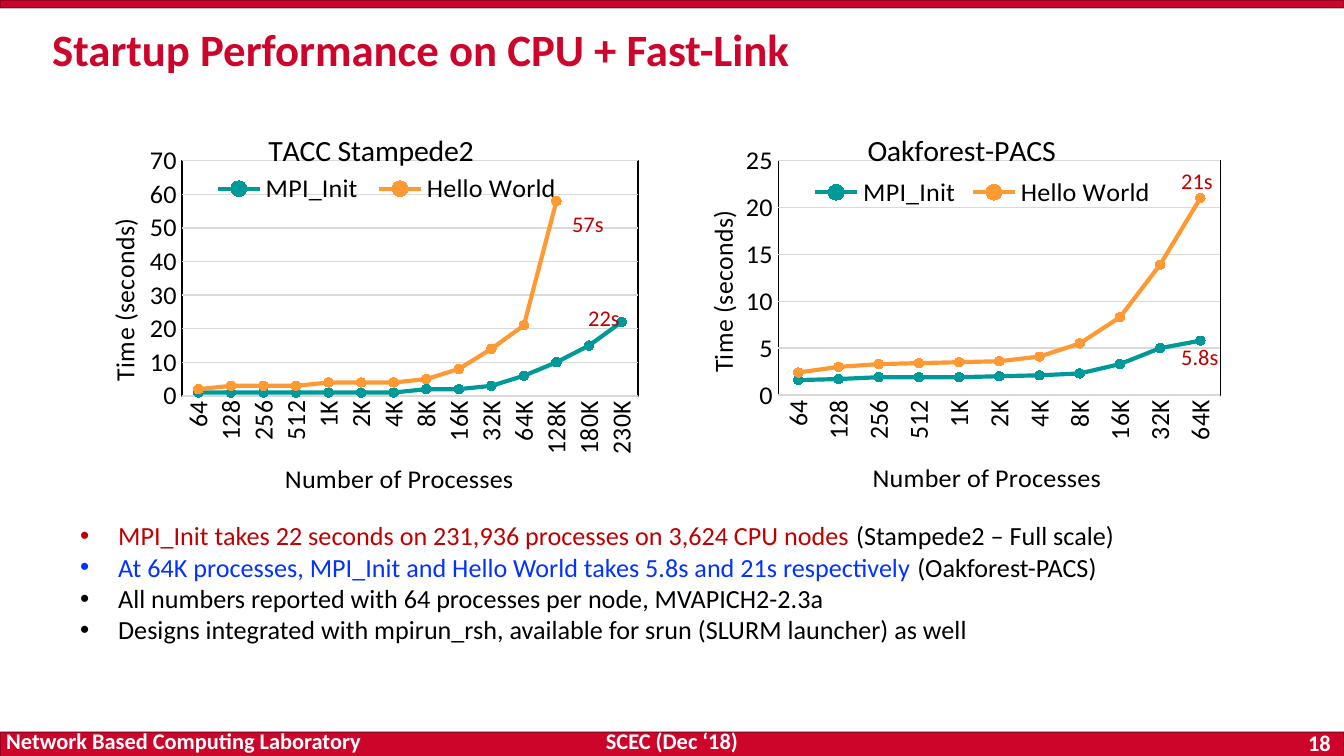
from lxml import etree
from pptx import Presentation
from pptx import util as u
from pptx.chart.data import CategoryChartData
from pptx.dml.color import RGBColor
from pptx.enum import chart as charts, shapes, text
from pptx.oxml import parse_xml
from pptx.oxml.ns import nsdecls, qn

SCALE = 914400 / 134.4
UPRIGHT = "-5400000"
CATEGORIES = ["64", "128", "256", "512", "1K", "2K", "4K", "8K",
              "16K", "32K", "64K", "128K", "180K", "230K"]


def px(length):
    return u.Emu(round(length * SCALE))


def color(value):
    return RGBColor.from_string(value)


def format_font(font, size, fill, bold=False):
    font.name = "Calibri"
    font.size = u.Pt(size)
    font.bold = bold
    font.color.rgb = color(fill)


def write(paragraph, content, size=14, fill="000000", bold=False):
    run = paragraph.add_run()
    run.text = content
    format_font(run.font, size, fill, bold)


def place(element, index, target, **fractions):
    for old in element.findall(qn("c:layout")):
        element.remove(old)
    parts = f'<c:layoutTarget val="{target}"/>' if target else ""
    parts += '<c:xMode val="edge"/><c:yMode val="edge"/>'
    parts += "".join(f'<c:{key} val="{value}"/>' for key, value in fractions.items())
    element.insert(index, parse_xml(
        f'<c:layout {nsdecls("c")}><c:manualLayout>{parts}</c:manualLayout></c:layout>'))


class SlideBuilder:
    red = "CD052B"
    accent = "C00000"
    grid = "D9D9D9"
    series_colors = ["009999", "FF9933"]

    def __init__(self, slide):
        self.slide = slide

    def bar(self, top, height):
        shape = self.slide.shapes.add_shape(
            shapes.MSO_SHAPE.RECTANGLE, 0, px(top), px(1344), px(height))
        shape.shadow.inherit = False
        shape.fill.solid()
        shape.fill.fore_color.rgb = color(self.red)
        shape.line.color.rgb = color("000000")
        shape.line.width = u.Pt(1)
        line_color = shape.line._ln.find(".//" + qn("a:srgbClr"))
        etree.SubElement(line_color, qn("a:alpha")).set("val", "25000")

    def box(self, left, top, width, height, anchor=text.MSO_ANCHOR.TOP):
        shape = self.slide.shapes.add_textbox(px(left), px(top), px(width), px(height))
        frame = shape.text_frame
        frame.word_wrap = True
        frame.vertical_anchor = anchor
        return frame

    def label(self, area, content, align=text.PP_ALIGN.LEFT,
              anchor=text.MSO_ANCHOR.TOP, **style):
        paragraph = self.box(*area, anchor).paragraphs[0]
        paragraph.alignment = align
        write(paragraph, content, **style)

    def bullets(self, area, items):
        frame = self.box(*area)
        for index, runs in enumerate(items):
            paragraph = frame.add_paragraph() if index else frame.paragraphs[0]
            properties = paragraph._p.get_or_add_pPr()
            properties.set("marL", str(px(38)))
            properties.set("indent", str(-px(38)))
            etree.SubElement(properties, qn("a:buFont")).set("typeface", "Arial")
            etree.SubElement(properties, qn("a:buChar")).set("char", "•")
            for content, fill in runs:
                write(paragraph, content, fill=fill)

    def chart_title(self, title, content, x, y, size=14, rotation="0"):
        frame = title.text_frame
        write(frame.paragraphs[0], content, size=size)
        frame._txBody.find(qn("a:bodyPr")).set("rot", rotation)
        place(title._element, 1, None, x=x, y=y)

    def line_chart(self, area, title, series, top, step, title_at, legend_at,
                   category_title_at, value_title_at):
        data = CategoryChartData(number_format="General")
        data.categories = CATEGORIES[:len(series["MPI_Init"])]
        for name, values in series.items():
            data.add_series(name, values)
        chart = self.slide.shapes.add_chart(
            charts.XL_CHART_TYPE.LINE_MARKERS, *map(px, area), data).chart
        format_font(chart.font, 14, "000000")
        chart.has_title = True
        self.chart_title(chart.chart_title, title, *title_at, size=16)

        chart.has_legend = True
        legend = chart.legend
        legend.position = charts.XL_LEGEND_POSITION.BOTTOM
        legend.include_in_layout = False
        format_font(legend.font, 14, "000000")
        place(legend._element, 1, None, x=legend_at[0], y=legend_at[1], w=0.63, h=0.08)

        category, value = chart.category_axis, chart.value_axis
        for axis in (category, value):
            axis.major_tick_mark = axis.minor_tick_mark = charts.XL_TICK_MARK.NONE
            format_font(axis.tick_labels.font, 14, "000000")
        self.chart_title(category.axis_title, "Number of Processes", *category_title_at)
        self.chart_title(value.axis_title, "Time (seconds)", *value_title_at,
                         rotation=UPRIGHT)
        labels = category._element.find(qn("c:txPr"))
        labels.find(qn("a:bodyPr")).set("rot", UPRIGHT)
        value.minimum_scale, value.maximum_scale, value.major_unit = 0, top, step
        value.tick_labels.number_format = "0"
        value.tick_labels.number_format_is_linked = False
        value.format.line.fill.background()
        for line in (category.format.line, value.major_gridlines.format.line):
            line.color.rgb = color(self.grid)
            line.width = u.Pt(0.75)

        plot = chart.plots[0]
        plot.vary_by_categories = False
        for line_series, fill in zip(plot.series, self.series_colors):
            line_series.smooth = False
            line_series.format.line.color.rgb = color(fill)
            line_series.format.line.width = u.Pt(2.25)
            marker = line_series.marker
            marker.style = charts.XL_MARKER_STYLE.CIRCLE
            marker.size = 5
            marker.format.fill.solid()
            marker.format.fill.fore_color.rgb = color(fill)
            marker.format.line.color.rgb = color(fill)

        plot_area = chart._chartSpace.find(".//" + qn("c:plotArea"))
        place(plot_area, 0, "inner", x=0.17, y=0.16, w=0.79, h=0.59)
        plot_area.append(parse_xml(
            f'<c:spPr {nsdecls("c", "a")}><a:noFill/><a:ln w="9525"><a:solidFill>'
            '<a:srgbClr val="000000"/></a:solidFill></a:ln></c:spPr>'))


def main():
    presentation = Presentation()
    presentation.slide_width, presentation.slide_height = px(1344), px(756)
    slide = SlideBuilder(presentation.slides.add_slide(presentation.slide_layouts[6]))

    slide.bar(732, 26)
    slide.bar(0, 8)
    footer = {"size": 12, "fill": "FFFFFF", "bold": True}
    middle = text.MSO_ANCHOR.MIDDLE
    slide.label((0, 731, 1344, 20), "SCEC (Dec ‘18)", text.PP_ALIGN.CENTER, middle, **footer)
    slide.label((1255, 731, 89, 24), "18", text.PP_ALIGN.RIGHT, middle, **footer)
    slide.label((-7, 735, 406, 26), "Network Based Computing Laboratory",
                anchor=text.MSO_ANCHOR.BOTTOM, **footer)
    slide.label((39, 15, 1193, 85), "Startup Performance on CPU + Fast-Link",
                size=24, fill=slide.red, bold=True)

    slide.line_chart(
        (84, 97, 577, 406), "TACC Stampede2",
        {"MPI_Init": [1, 1, 1, 1, 1, 1, 1, 2, 2, 3, 6, 10, 15, 22],
         "Hello World": [2, 3, 3, 3, 4, 4, 4, 5, 8, 14, 21, 58, None, None]},
        70, 10, (0.31, 0.07), (0.21, 0.19), (0.34, 0.9), (0.03, 0.3))
    slide.line_chart(
        (683, 97, 560, 405), "Oakforest-PACS",
        {"MPI_Init": [1.6, 1.7, 1.9, 1.9, 1.9, 2, 2.1, 2.3, 3.3, 5, 5.8],
         "Hello World": [2.4, 3, 3.3, 3.4, 3.5, 3.6, 4.1, 5.5, 8.3, 13.9, 21]},
        25, 5, (0.32, 0.07), (0.22, 0.2), (0.33, 0.9), (0.03, 0.28))

    for content, left, top, width in [("22s", 575, 298, 65), ("5.8s", 1168, 337, 75),
                                      ("21s", 1168, 160, 65), ("57s", 559, 204, 65)]:
        slide.label((left, top, width, 39), content, size=12, fill=slide.accent)

    black = "000000"
    slide.bullets((67, 513, 1144, 156), [
        [("MPI_Init takes 22 seconds on 231,936 processes on 3,624 CPU nodes ", slide.accent),
         ("(Stampede2 – Full scale)", black)],
        [("At 64K processes, MPI_Init and Hello World takes 5.8s and 21s respectively ", "0432FF"),
         ("(Oakforest-PACS)", black)],
        [("All numbers reported with 64 processes per node, MVAPICH2-2.3a", black)],
        [("Designs integrated with mpirun_rsh, available for srun (SLURM launcher) as well", black)],
    ])
    presentation.save("out.pptx")


if __name__ == "__main__":
    main()
